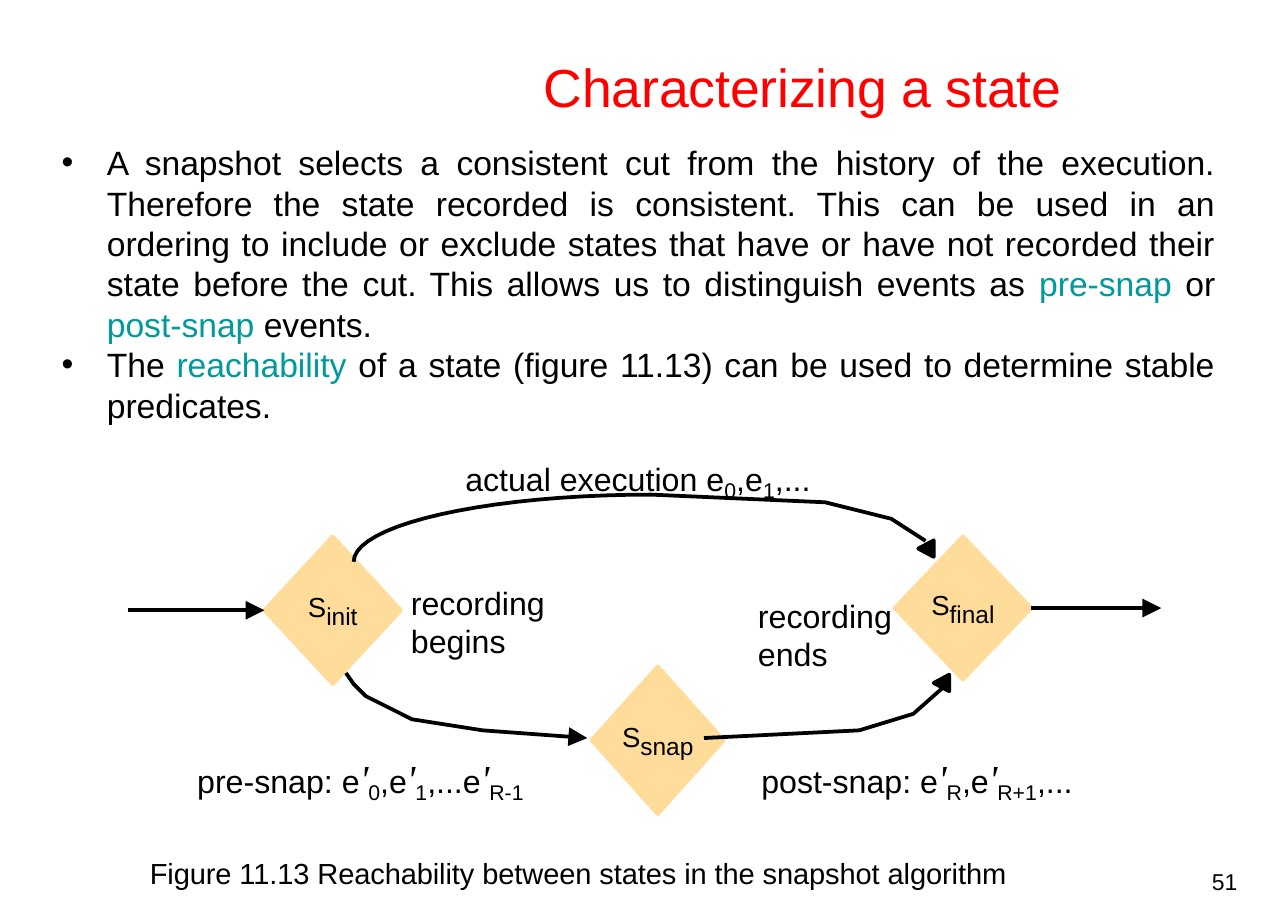
import math

from lxml import etree
from pptx import Presentation
from pptx.dml.color import RGBColor
from pptx.enum.shapes import MSO_CONNECTOR, MSO_SHAPE
from pptx.enum.text import MSO_ANCHOR, MSO_AUTO_SIZE, PP_ALIGN
from pptx.oxml.ns import qn
from pptx.util import Inches, Pt

LEFT, CENTER, JUSTIFY = PP_ALIGN.LEFT, PP_ALIGN.CENTER, PP_ALIGN.JUSTIFY
TOP, MIDDLE = MSO_ANCHOR.TOP, MSO_ANCHOR.MIDDLE
NO_AUTOFIT = MSO_AUTO_SIZE.NONE
STRAIGHT = MSO_CONNECTOR.STRAIGHT
DIAMOND, TRIANGLE = MSO_SHAPE.DIAMOND, MSO_SHAPE.ISOSCELES_TRIANGLE
LEFT_SIDE, RIGHT_SIDE = 1, 3

WIDTH, HEIGHT = 11.69, 8.27
INK, BLACK, RED, TEAL, SAND = "010101", "000000", "FF0000", "009A9A", "FFDC99"
LINE_WIDTH = 2.47
UNIT = 0.1  # side of a grid cell in inches

# size, font, colour, italic, baseline in thousandths of a percent, tracking in 1/100 pt
STYLES = {
    "title": (35, "Arial", RED, False, 0, -10),
    "body": (22, "Arial", BLACK, False, 0, 0),
    "term": (22, "Arial", TEAL, False, 0, 0),
    "label": (21, "Arial", BLACK, False, 0, 0),
    "sub": (24, "Arial", BLACK, False, -20000, 0),
    "prime": (26, "Times New Roman", BLACK, True, 0, 0),
    "state": (31, "Arial", BLACK, False, 16000, 0),
    "state name": (16, "Arial", BLACK, False, 0, 0),
    "caption": (19, "Arial", BLACK, False, 0, -6),
    "number": (15, "Arial", BLACK, False, 0, 0),
}


def color(hex_string):
    return RGBColor.from_string(hex_string)


def fill_paragraph(paragraph, pieces, align=LEFT, spacing=1.0):
    """Write (style, text) pieces as runs."""
    paragraph.alignment = align
    paragraph.line_spacing = spacing
    paragraph.space_before = Pt(0)
    for style, text in pieces:
        size, font, ink, italic, baseline, tracking = STYLES[style]
        run = paragraph.add_run()
        run.text = text
        run.font.size, run.font.name, run.font.italic = Pt(size), font, italic
        run.font.color.rgb = color(ink)
        if baseline:
            run.font._element.set("baseline", str(baseline))
        if tracking:
            run.font._element.set("spc", str(tracking))


def prepare_frame(frame, anchor=TOP, wrap=True):
    frame.margin_left = frame.margin_right = frame.margin_top = frame.margin_bottom = 0
    frame.auto_size = NO_AUTOFIT
    frame.vertical_anchor = anchor
    frame.word_wrap = wrap
    return frame


def place(shape, box):
    shape.left, shape.top, shape.width, shape.height = (Inches(v) for v in box)


def add_label(slide, box, pieces, align=LEFT, spacing=1.0):
    label = slide.shapes.add_textbox(*(Inches(v) for v in box))
    fill_paragraph(prepare_frame(label.text_frame).paragraphs[0], pieces, align, spacing)


def set_indent(paragraph, margin, hanging=0):
    properties = paragraph._p.get_or_add_pPr()
    properties.set("marL", str(Inches(margin)))
    properties.set("indent", str(-Inches(hanging)))


def style_line(shape, arrow=False):
    shape.line.color.rgb = color(INK)
    shape.line.width = Pt(LINE_WIDTH)
    if arrow:
        etree.SubElement(shape.line._get_or_add_ln(), qn("a:tailEnd"),
                         type="triangle", w="lg", len="lg")


def add_title(slide, box):
    title = slide.shapes.title
    place(title, box)
    paragraph = prepare_frame(title.text_frame).paragraphs[0]
    fill_paragraph(paragraph, [("title", "Characterizing a state")], CENTER, Pt(41.7))
    set_indent(paragraph, 2.88)


def add_body(slide, box):
    points = [
        [("body", "A snapshot selects a consistent cut from the history of the execution. "
                  "Therefore the state recorded is consistent. This can be used in "
                  "an ordering to include or exclude states that have or have not recorded "
                  "their state before the cut. This allows us to distinguish events as "),
         ("term", "pre-snap "), ("body", "or "), ("term", "post-snap "), ("body", "events.")],
        [("body", "The "), ("term", "reachability "),
         ("body", "of a state (figure 11.13) can be used to determine stable predicates.")],
    ]
    body = slide.placeholders[1]
    place(body, box)
    frame = prepare_frame(body.text_frame)
    for index, pieces in enumerate(points):
        paragraph = frame.add_paragraph() if index else frame.paragraphs[0]
        fill_paragraph(paragraph, pieces, JUSTIFY)
        set_indent(paragraph, 0.43, 0.41)


def add_diagram(slide, left, top):
    """Draw the states and paths on a grid of UNIT cells starting at left, top."""
    def at(column, row):
        return Inches(left + column * UNIT), Inches(top + row * UNIT)

    def area(column, row, columns, rows):
        return left + column * UNIT, top + row * UNIT, columns * UNIT, rows * UNIT

    def add_solid(kind, cells, fill):
        solid = slide.shapes.add_shape(kind, *(Inches(v) for v in area(*cells)))
        solid.shadow.inherit = False
        solid.fill.solid()
        solid.fill.fore_color.rgb = solid.line.color.rgb = color(fill)
        solid.line.width = Pt(LINE_WIDTH)
        return solid

    def add_state(name, *cells):
        state = add_solid(DIAMOND, cells, SAND)
        frame = prepare_frame(state.text_frame, MIDDLE, wrap=False)
        frame.margin_top = Inches(UNIT)
        fill_paragraph(frame.paragraphs[0], [("state", "S"), ("state name", name)],
                       CENTER, Pt(25.1))
        return state

    def add_arrow(start, end):
        arrow = slide.shapes.add_connector(STRAIGHT, *at(*start), *at(*end))
        style_line(arrow, arrow=True)
        etree.SubElement(arrow._element.spPr, qn("a:effectLst"))
        return arrow

    def add_path(points, arrow=False):
        start, *rest = [at(*point) for point in points]
        builder = slide.shapes.build_freeform(*start)
        builder.add_line_segments(rest, close=False)
        path = builder.convert_to_shape()
        path.shadow.inherit = False
        path.fill.background()
        style_line(path, arrow)

    initial = add_state("init", 14, 8.7, 12.4, 13.4)
    final = add_state("final", 71.2, 8.7, 12.4, 13)
    add_state("snap", 43.7, 20.5, 12, 13.4)

    add_arrow((1.6, 15.4), (14, 15.4)).end_connect(initial, LEFT_SIDE)
    add_arrow((83.6, 15.2), (95.4, 15.2)).begin_connect(final, RIGHT_SIDE)

    steps = 20
    angles = [math.pi / 2 * step / steps for step in range(steps + 1)]
    rise = [(49.1 - 27 * math.cos(a), 11 - 6.1 * math.sin(a)) for a in angles]
    add_path(rise + [(64.9, 5.6), (70.9, 7.1), (74, 9.1)])
    add_path([(21.4, 21.1), (22.1, 22.1), (23.2, 23.2), (27.4, 25.3),
              (33.8, 26.3), (43.3, 27)], arrow=True)
    add_path([(53.9, 27), (68, 26.3), (72.9, 24.8), (75.5, 22.5)])
    for head_column, head_row in ((73.3, 9.1), (74.7, 21.3)):
        add_solid(TRIANGLE, (head_column, head_row, 1.5, 1.4), INK).rotation = 270

    prime = ("prime", "'")
    add_label(slide, area(27.9, 1.3, 40, 4),
              [("label", "actual execution e"), ("sub", "0"), ("label", ",e"),
               ("sub", "1"), ("label", ",...")], CENTER)
    for text, column, row in (("recording begins", 27.3, 13), ("recording ends", 58.8, 14.2)):
        add_label(slide, area(column, row, 12.4, 6.9), [("label", text)], spacing=Pt(24.8))
    add_label(slide, area(7.9, 28.4, 32, 4.7),
              [("label", "pre-snap: e"), prime, ("sub", "0"), ("label", ",e"), prime,
               ("sub", "1"), ("label", ",...e"), prime, ("sub", "R-1")])
    add_label(slide, area(59.1, 28.4, 32, 4.7),
              [("label", "post-snap: e"), prime, ("sub", "R"), ("label", ",e"), prime,
               ("sub", "R+1"), ("label", ",...")])
    add_label(slide, area(3.6, 37.7, 82.3, 3.2),
              [("caption", "Figure 11.13 Reachability between states in the snapshot algorithm")])


def main():
    deck = Presentation()
    deck.slide_width, deck.slide_height = Inches(WIDTH), Inches(HEIGHT)
    slide = deck.slides.add_slide(deck.slide_layouts[1])
    add_title(slide, (0.05 * WIDTH, 0.06 * HEIGHT, 0.9 * WIDTH, 0.07 * HEIGHT))
    add_body(slide, (0.54, 1.29, 10.49, 2.6))
    add_diagram(slide, 1, 4)
    add_label(slide, (11, 7.88, 0.3, 0.25), [("number", "51")])
    deck.save("out.pptx")


if __name__ == "__main__":
    main()
